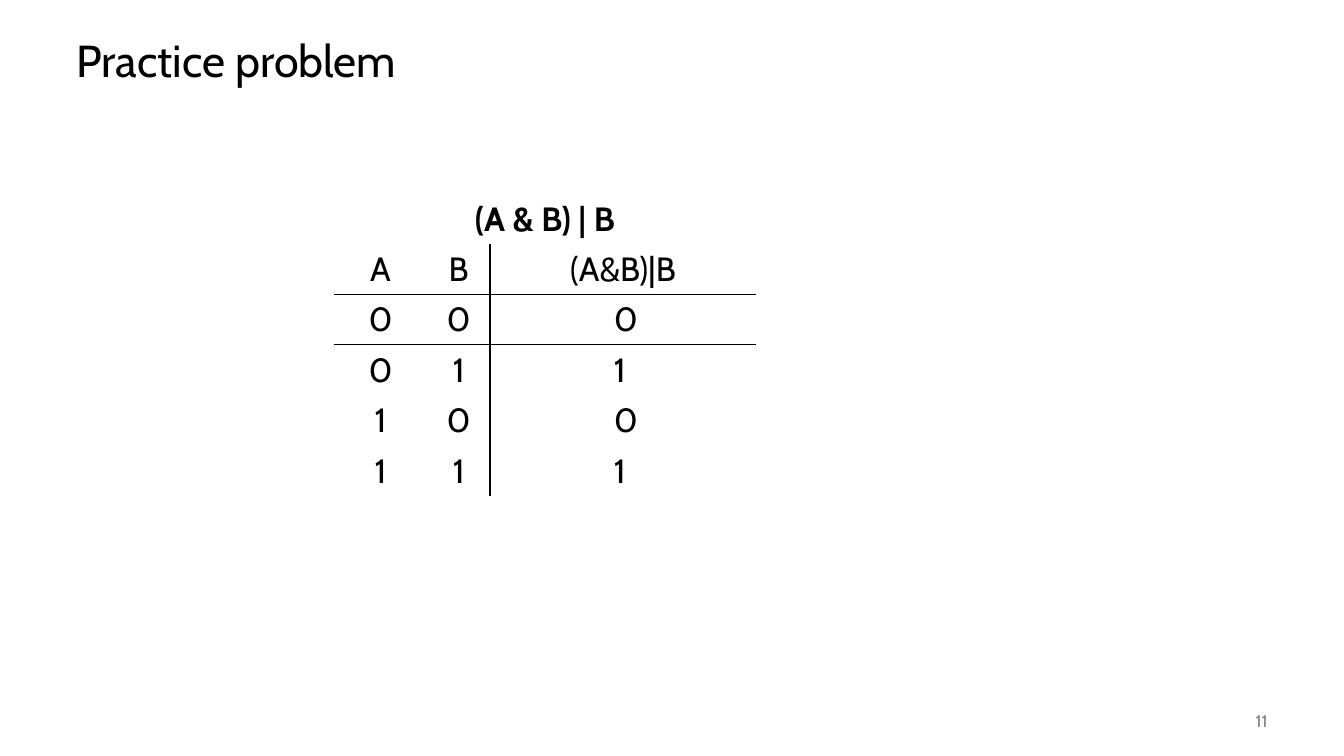
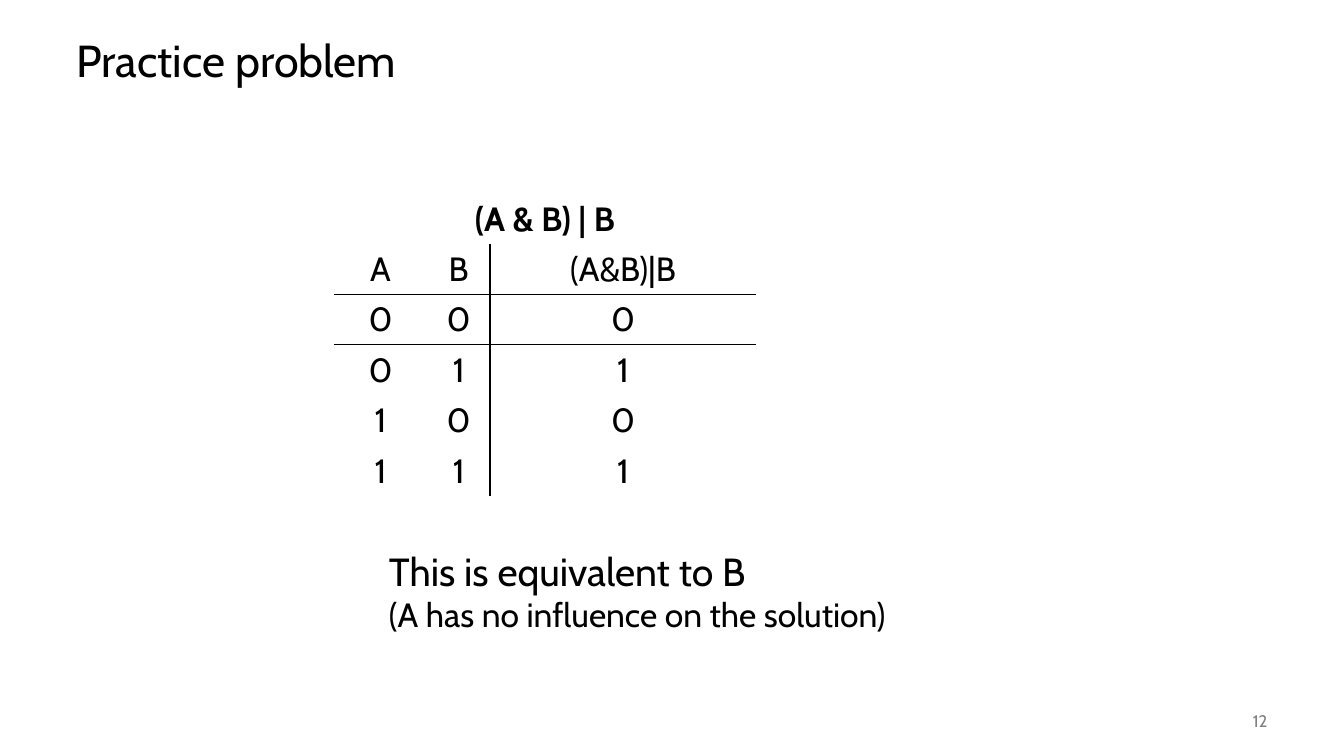
"""Builds two practice slides with the truth table of (A & B) | B."""
from lxml.etree import SubElement
from pptx import Presentation
from pptx.dml.color import RGBColor
from pptx.enum.text import MSO_ANCHOR, PP_ALIGN
from pptx.oxml.ns import qn
from pptx.util import Pt

TITLE = "Practice problem"
EXPRESSION = "(A & B) | B"
HEADER = ("A", "B", "(A&B)|B")
TRUTH_ROWS = [("0", "0", "0"), ("0", "1", "1"), ("1", "0", "0"), ("1", "1", "1")]
CONCLUSION = [("This is equivalent to B", 28), ("(A has no influence on the solution)", 24)]
SLIDES = [
    {"number": 11, "floating_answers": True, "conclusion": []},
    {"number": 12, "floating_answers": False, "conclusion": CONCLUSION},
]

PX = 9144
FONT = "Cabin"
BLACK, GREY = "000000", "808080"
TABLE_LEFT, TABLE_TOP, ROW_HEIGHT = 331, 192, 50
COLUMN_WIDTHS = (93, 62, 264)
ANSWER_LEFT, ANSWER_TOP, ANSWER_WIDTH = 599, 291, 41
PLAIN_TABLE_STYLE = "{2D5ABB26-0587-4C30-8999-92F81FD0307C}"


def color(value):
    return RGBColor.from_string(value)


def write(para, text, size=24, fill=BLACK, bold=False, align=PP_ALIGN.LEFT):
    para.alignment = align
    span = para.add_run()
    span.text = text
    span.font.name = FONT
    span.font.size = Pt(size)
    span.font.bold = bold
    span.font.color.rgb = color(fill)


def add_box(page, left, top, width, height, anchor=MSO_ANCHOR.TOP):
    box = page.shapes.add_textbox(left * PX, top * PX, width * PX, height * PX)
    box.text_frame.word_wrap = True
    box.text_frame.vertical_anchor = anchor
    return box.text_frame.paragraphs[0]


def add_border(cell, side):
    line = SubElement(cell._tc.get_or_add_tcPr(), qn(f"a:ln{side}"), w=str(Pt(1)))
    fill = SubElement(line, qn("a:solidFill"))
    SubElement(fill, qn("a:srgbClr"), val=BLACK)


def border_sides(row, column):
    """Returns the ruled sides of a cell, in schema order."""
    rules = {"L": row >= 1 and column == 2, "R": row >= 1 and column == 1,
             "T": row == 2, "B": row == 1}
    return [side for side, ruled in rules.items() if ruled]


def add_truth_table(page, show_answers):
    rows = [(EXPRESSION, "", ""), HEADER]
    rows += [row if show_answers else (*row[:2], "") for row in TRUTH_ROWS]
    frame = page.shapes.add_table(
        len(rows), len(HEADER), TABLE_LEFT * PX, TABLE_TOP * PX,
        sum(COLUMN_WIDTHS) * PX, len(rows) * ROW_HEIGHT * PX)
    table = frame.table
    table.first_row = table.horz_banding = False
    table._tbl.tblPr.find(qn("a:tableStyleId")).text = PLAIN_TABLE_STYLE
    for column, width in zip(table.columns, COLUMN_WIDTHS):
        column.width = width * PX
    table.cell(0, 0).merge(table.cell(0, len(HEADER) - 1))
    for row_index, row in enumerate(rows):
        for column_index, text in enumerate(row):
            cell = table.cell(row_index, column_index)
            cell.vertical_anchor = MSO_ANCHOR.MIDDLE
            for side in border_sides(row_index, column_index):
                add_border(cell, side)
            cell.fill.background()
            if text:
                write(cell.text_frame.paragraphs[0], text, bold=row_index == 0,
                      align=PP_ALIGN.CENTER)


def add_floating_answers(page):
    for index, row in enumerate(TRUTH_ROWS):
        top = ANSWER_TOP + index * ROW_HEIGHT
        write(add_box(page, ANSWER_LEFT, top, ANSWER_WIDTH, ROW_HEIGHT), row[-1])


def add_conclusion(page, lines):
    para = add_box(page, 376, 538, 647, 98)
    for index, (text, size) in enumerate(lines):
        if index:
            para.add_line_break()
        write(para, text, size=size)


def add_page(deck, number, floating_answers, conclusion):
    page = deck.slides.add_slide(deck.slide_layouts[6])
    title = add_box(page, 66, 25, 1200, 75, MSO_ANCHOR.MIDDLE)
    title.line_spacing = 0.9
    write(title, TITLE, size=32)
    footer = add_box(page, 1167, 695, 100, 40, MSO_ANCHOR.MIDDLE)
    write(footer, str(number), size=12, fill=GREY, align=PP_ALIGN.RIGHT)
    add_truth_table(page, not floating_answers)
    if floating_answers:
        add_floating_answers(page)
    if conclusion:
        add_conclusion(page, conclusion)


def main():
    deck = Presentation()
    deck.slide_width, deck.slide_height = 1333 * PX, 750 * PX
    for content in SLIDES:
        add_page(deck, **content)
    deck.save("out.pptx")


if __name__ == "__main__":
    main()
